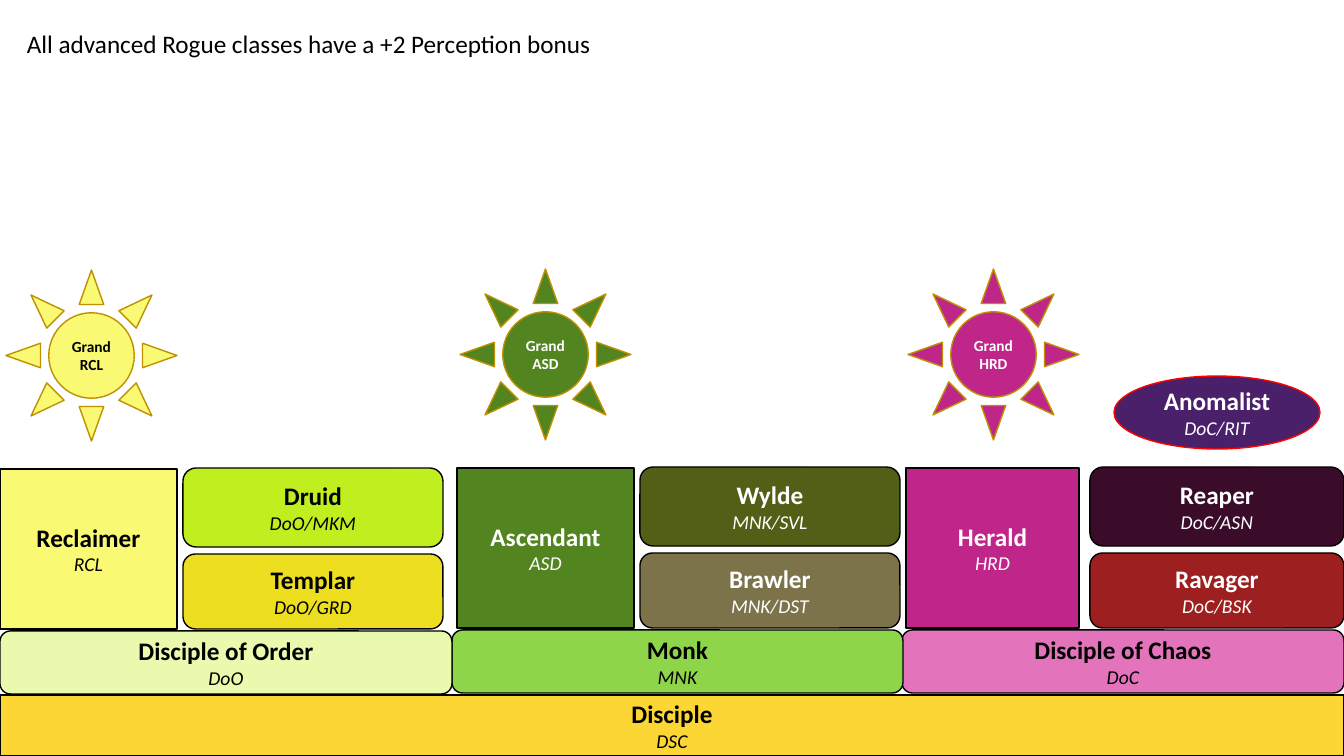
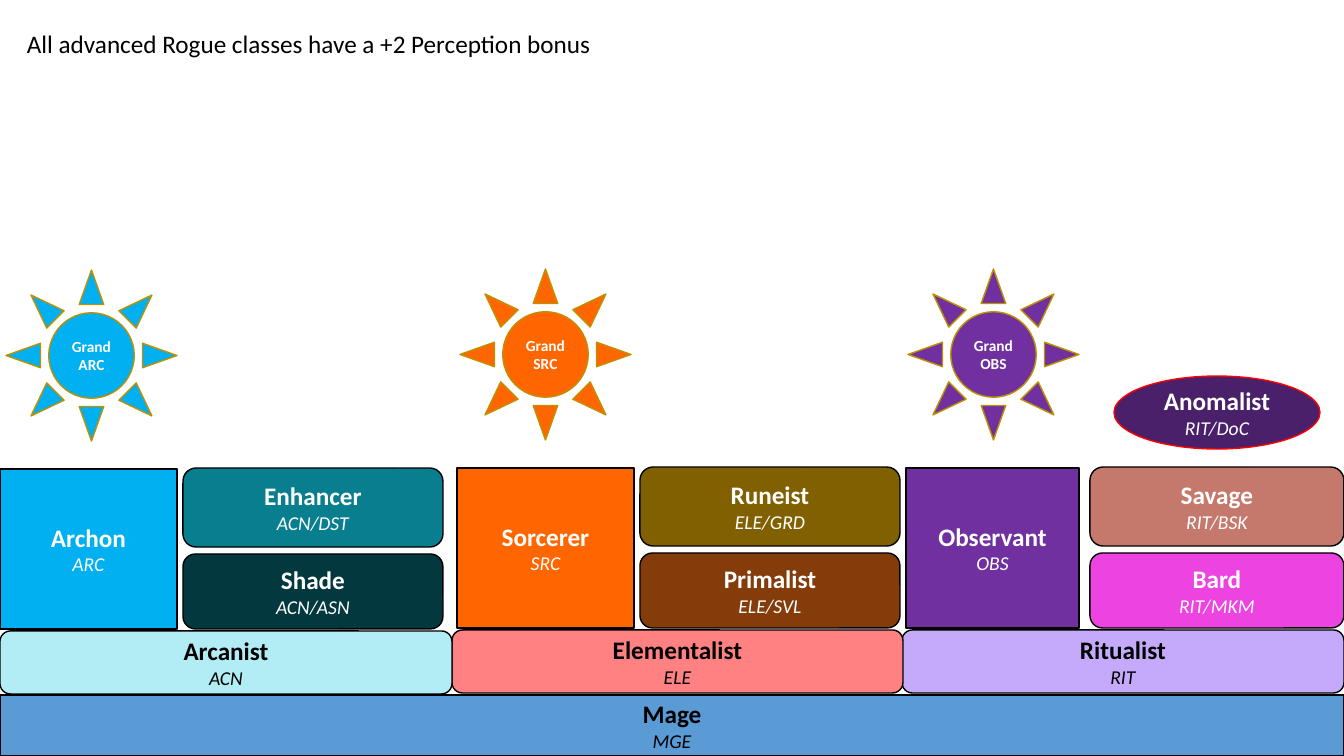
import pptx
import pptx.util
import pptx.dml.color
import pptx.enum.shapes
import pptx.enum.text

KIND = pptx.enum.shapes.MSO_SHAPE
TEXT = pptx.enum.text
NOTE = "All advanced Rogue classes have a +2 Perception bonus"


class Theme:
    """Colours, font and type sizes shared by the slides."""
    font = "Calibri"
    dark, light = "000000", "FFFFFF"
    edge, gold, red = "000000", "BF9000", "FF0000"
    odd = "4A206A"
    name, code, sun = 18, 14, 11
    line = 1


# Each class is (name, code, fill).
# Each path holds its text colour, then band, master, upper and lower class.
TREES = [
    {
        "base": ("Disciple", "DSC", "FCD634"),
        "odd": ("Anomalist", "DoC/RIT", Theme.odd),
        "paths": [
            (Theme.dark,
             ("Disciple of Order", "DoO", "E9F9AD"),
             ("Reclaimer", "RCL", "F9F973"),
             ("Druid", "DoO/MKM", "C1EE1E"),
             ("Templar", "DoO/GRD", "EDDE1F")),
            (Theme.light,
             ("Monk", "MNK", "8FD549"),
             ("Ascendant", "ASD", "528420"),
             ("Wylde", "MNK/SVL", "535F17"),
             ("Brawler", "MNK/DST", "7D734B")),
            (Theme.light,
             ("Disciple of Chaos", "DoC", "E373BB"),
             ("Herald", "HRD", "C02689"),
             ("Reaper", "DoC/ASN", "3A0C2A"),
             ("Ravager", "DoC/BSK", "9D1F1F")),
        ],
    },
    {
        "base": ("Mage", "MGE", "5B9BD5"),
        "odd": ("Anomalist", "RIT/DoC", Theme.odd),
        "paths": [
            (Theme.light,
             ("Arcanist", "ACN", "B2ECF4"),
             ("Archon", "ARC", "00B0F0"),
             ("Enhancer", "ACN/DST", "087E8E"),
             ("Shade", "ACN/ASN", "03383F")),
            (Theme.light,
             ("Elementalist", "ELE", "FF8181"),
             ("Sorcerer", "SRC", "FF6600"),
             ("Runeist", "ELE/GRD", "806000"),
             ("Primalist", "ELE/SVL", "843C0B")),
            (Theme.light,
             ("Ritualist", "RIT", "C5AAFC"),
             ("Observant", "OBS", "7030A0"),
             ("Savage", "RIT/BSK", "C4796C"),
             ("Bard", "RIT/MKM", "ED43E1")),
        ],
    },
]

# Pixel geometry: left and width of each part, and the top of its column.
WIDE, HIGH = 1344, 756
COLS = [
    {"top": 468, "band": (0, 452), "master": (0, 177),
     "sun": 6, "box": (183, 260)},
    {"top": 467, "band": (452, 451), "master": (457, 177),
     "sun": 460, "box": (640, 260)},
    {"top": 467, "band": (902, 442), "master": (906, 173),
     "sun": 908, "box": (1090, 254)},
]
SUN, BAND, MASTER, UPPER, LOWER = 171, 63, 160, 79, 75
BASE = (0, 695, WIDE, 61)
ODD = (1114, 376, 206, 73)
LABEL = (17, 23, 591, 40)


def px(num):
    """Turn picture pixels into EMU."""
    return round(num * 914400 / 100.8)


def rgb(code):
    """Make a colour from its hex code."""
    return pptx.dml.color.RGBColor.from_string(code)


def style(para, size, ink, bold=False, slant=False):
    """Format every run of a paragraph."""
    for run in para.runs:
        run.font.name = Theme.font
        run.font.size = pptx.util.Pt(size)
        run.font.color.rgb = rgb(ink)
        run.font.bold = bold
        run.font.italic = slant


def draw(slide, kind, area, item, ink, edge=Theme.edge):
    """Add one filled shape with a name and a code below it."""
    name, code, fill = item
    shape = slide.shapes.add_shape(kind, *map(px, area))
    shape.shadow.inherit = False
    shape.fill.solid()
    shape.fill.fore_color.rgb = rgb(fill)
    shape.line.color.rgb = rgb(edge)
    shape.line.width = pptx.util.Pt(Theme.line)
    frame = shape.text_frame
    frame.text = f"{name}\n{code}"
    frame.word_wrap = True
    frame.vertical_anchor = TEXT.MSO_ANCHOR.MIDDLE
    first, last = frame.paragraphs
    first.alignment = last.alignment = TEXT.PP_ALIGN.CENTER
    if kind == KIND.SUN:
        style(first, Theme.sun, ink, bold=True)
        style(last, Theme.sun, ink, bold=True)
    else:
        style(first, Theme.name, ink, bold=True)
        style(last, Theme.code, ink, slant=True)


def band(slide, col, item):
    """Add the rounded band below a path."""
    left, width = col["band"]
    area = (left, col["top"] + 163, width, BAND)
    draw(slide, KIND.ROUNDED_RECTANGLE, area, item, Theme.dark)


def column(slide, col, ink, master, upper, lower):
    """Add the master class, its sun and the two mixed classes."""
    top = col["top"]
    left, width = col["master"]
    draw(slide, KIND.RECTANGLE, (left, top + 1, width, MASTER), master, ink)
    grand = ("Grand", master[1], master[2])
    area = (col["sun"], top - 198, SUN, SUN)
    draw(slide, KIND.SUN, area, grand, ink, Theme.gold)
    left, width = col["box"]
    for item, down, tall in ((lower, 86, LOWER), (upper, 0, UPPER)):
        area = (left, top + down, width, tall)
        draw(slide, KIND.ROUNDED_RECTANGLE, area, item, ink)


def label(slide):
    """Add the note at the top of the slide."""
    box = slide.shapes.add_textbox(*map(px, LABEL))
    frame = box.text_frame
    frame.text = NOTE
    frame.word_wrap = False
    frame.auto_size = TEXT.MSO_AUTO_SIZE.SHAPE_TO_FIT_TEXT
    style(frame.paragraphs[0], Theme.name, Theme.dark)


def build(deck, tree):
    """Add the slide of one class tree."""
    slide = deck.slides.add_slide(deck.slide_layouts[6])
    draw(slide, KIND.RECTANGLE, BASE, tree["base"], Theme.dark)
    pairs = list(zip(COLS, tree["paths"]))
    for col, path in reversed(pairs):
        band(slide, col, path[1])
    for col, (ink, _, *group) in pairs:
        column(slide, col, ink, *group)
    draw(slide, KIND.OVAL, ODD, tree["odd"], Theme.light, Theme.red)
    label(slide)


deck = pptx.Presentation()
deck.slide_width, deck.slide_height = px(WIDE), px(HIGH)
for tree in TREES:
    build(deck, tree)
deck.save("out.pptx")
